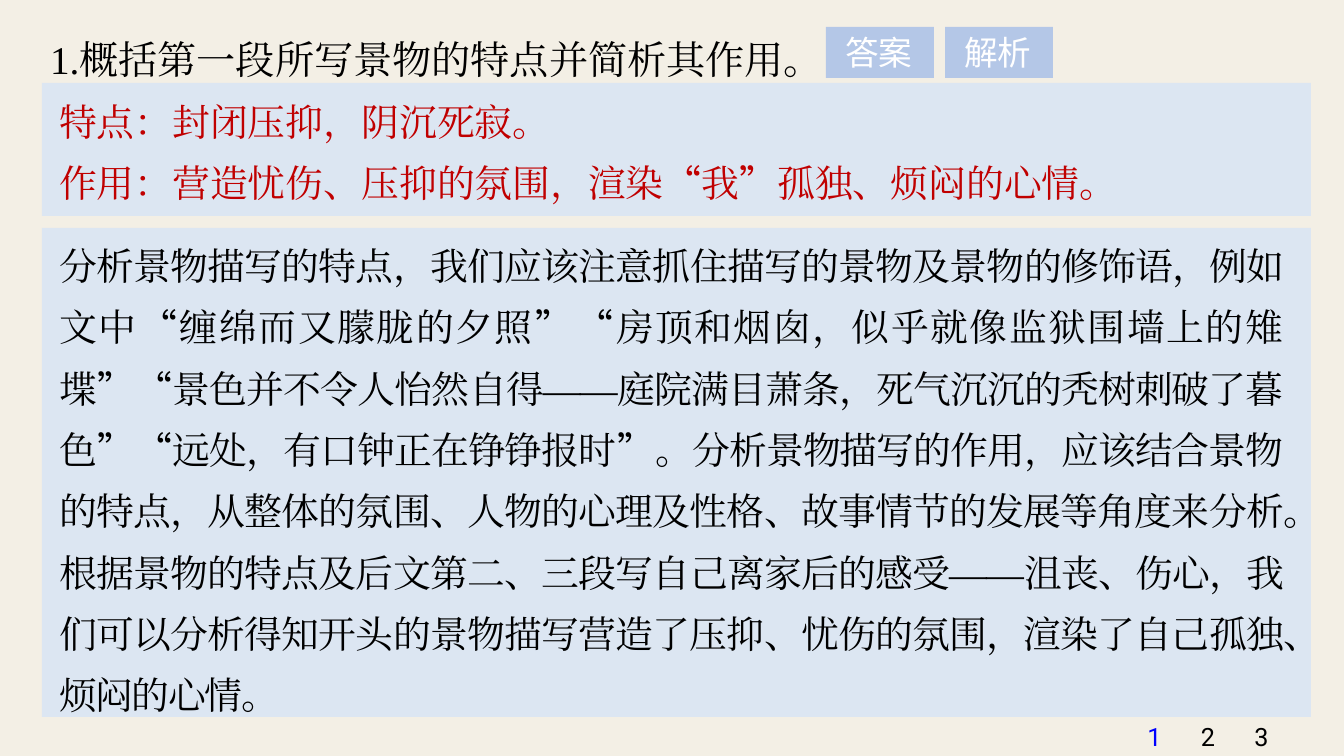
"""Build a reading-comprehension slide with a question, its answer and its analysis."""
import itertools
import pptx
import pptx.dml.color
import pptx.enum.shapes
import pptx.enum.text
import pptx.oxml.ns
import pptx.util
from lxml import etree

QUESTION = ["1.概括第一段所写景物的特点并简析其作用。"]
ANSWER = [
    "特点：封闭压抑，阴沉死寂。",
    "作用：营造忧伤、压抑的氛围，渲染“我”孤独、烦闷的心情。",
]
ANALYSIS = [
    "分析景物描写的特点，我们应该注意抓住描写的景物及景物的修饰语，例如文中"
    "“缠绵而又朦胧的夕照”“房顶和烟囱，似乎就像监狱围墙上的雉堞”"
    "“景色并不令人怡然自得——庭院满目萧条，死气沉沉的秃树刺破了暮色”"
    "“远处，有口钟正在铮铮报时”。分析景物描写的作用，应该结合景物的特点，"
    "从整体的氛围、人物的心理及性格、故事情节的发展等角度来分析。"
    "根据景物的特点及后文第二、三段写自己离家后的感受——沮丧、伤心，"
    "我们可以分析得知开头的景物描写营造了压抑、忧伤的氛围，渲染了自己孤独、烦闷的心情。"
]
TABS = [" 答案", " 解析"]
PAGE_NUMBERS = ["1", "2", "3"]
CURRENT = "1"

THEME = {
    "background": "F3EFE5", "panel": "DCE6F2", "tab": "B4C7E7", "tab_text": "FFFFFF",
    "text": "000000", "answer": "C00000", "current": "0000FF",
    "body_font": "Times New Roman", "quote_font": "Noto Sans CJK SC",
    "tab_font": "Arial", "number_font": "Roboto",
    "question_size": 28, "body_size": 27, "tab_size": 24, "number_size": 18,
}
SCALE = 914400 / 100.8
ALIGN = pptx.enum.text.PP_ALIGN
FIT = pptx.enum.text.MSO_AUTO_SIZE


def px(length):
    return pptx.util.Emu(round(length * SCALE))


def rgb(name):
    return pptx.dml.color.RGBColor.from_string(THEME[name])


def set_font(font, size, colour):
    font.size = pptx.util.Pt(THEME[size])
    font.color.rgb = rgb(colour)


def add_span(para, text, font, spacing=0):
    span = para.add_run()
    span.text = text
    span.font.name = THEME[font]
    properties = span.font._element
    east_asian = etree.SubElement(properties, pptx.oxml.ns.qn("a:ea"))
    east_asian.set("typeface", THEME[font])
    if spacing:
        properties.set("spc", str(spacing))


def add_rect(page, place, fill):
    rect = page.shapes.add_shape(pptx.enum.shapes.MSO_SHAPE.RECTANGLE, *map(px, place))
    rect.shadow.inherit = False
    rect.fill.solid()
    rect.fill.fore_color.rgb = rgb(fill)
    rect.line.fill.background()
    return rect


def add_frame(page, place, wrap=True):
    frame = page.shapes.add_textbox(*map(px, place)).text_frame
    frame.word_wrap = wrap
    frame.margin_left = frame.margin_right = px(13)
    frame.margin_top = frame.margin_bottom = px(7)
    return frame


def add_prose(page, place, lines, size, colour, leading, spacing=0):
    frame = add_frame(page, place)
    frame.auto_size = FIT.SHAPE_TO_FIT_TEXT
    for index, line in enumerate(lines):
        para = frame.add_paragraph() if index else frame.paragraphs[0]
        para.alignment = ALIGN.JUSTIFY
        para.line_spacing = leading
        set_font(para.font, size, colour)
        for quoted, letters in itertools.groupby(line, lambda letter: letter in "“”"):
            add_span(para, "".join(letters), "quote_font" if quoted else "body_font", spacing)


def add_tab(page, place, label):
    frame = add_rect(page, place, "tab").text_frame
    frame.vertical_anchor = pptx.enum.text.MSO_ANCHOR.TOP
    frame.auto_size = FIT.SHAPE_TO_FIT_TEXT
    para = frame.paragraphs[0]
    para.alignment = ALIGN.LEFT
    set_font(para.font, "tab_size", "tab_text")
    add_span(para, label, "tab_font")


def add_number(page, place, number):
    frame = add_frame(page, place, wrap=False)
    frame.vertical_anchor = pptx.enum.text.MSO_ANCHOR.MIDDLE
    para = frame.paragraphs[0]
    para.alignment = ALIGN.CENTER
    set_font(para.font, "number_size", "current" if number == CURRENT else "text")
    add_span(para, number, "number_font")


def main():
    deck = pptx.Presentation()
    deck.slide_width, deck.slide_height = px(1344), px(756)
    page = deck.slides.add_slide(deck.slide_layouts[6])
    page.background.fill.solid()
    page.background.fill.fore_color.rgb = rgb("background")

    add_prose(page, (37, 5, 1274, 76), QUESTION, "question_size", "text", 1.5)
    for index, label in enumerate(TABS):
        add_tab(page, (826 + 119 * index, 27, 108, 51), label)
    add_rect(page, (42, 83, 1269, 133), "panel")
    add_prose(page, (46, 76, 1249, 137), ANSWER, "body_size", "answer", 1.35)
    add_rect(page, (42, 228, 1269, 489), "panel")
    add_prose(page, (46, 220, 1249, 504), ANALYSIS, "body_size", "text", 1.35, -100)
    for index, number in enumerate(PAGE_NUMBERS):
        add_number(page, (1133 + 53.5 * index, 704, 43, 64), number)
    deck.save("out.pptx")


if __name__ == "__main__":
    main()
